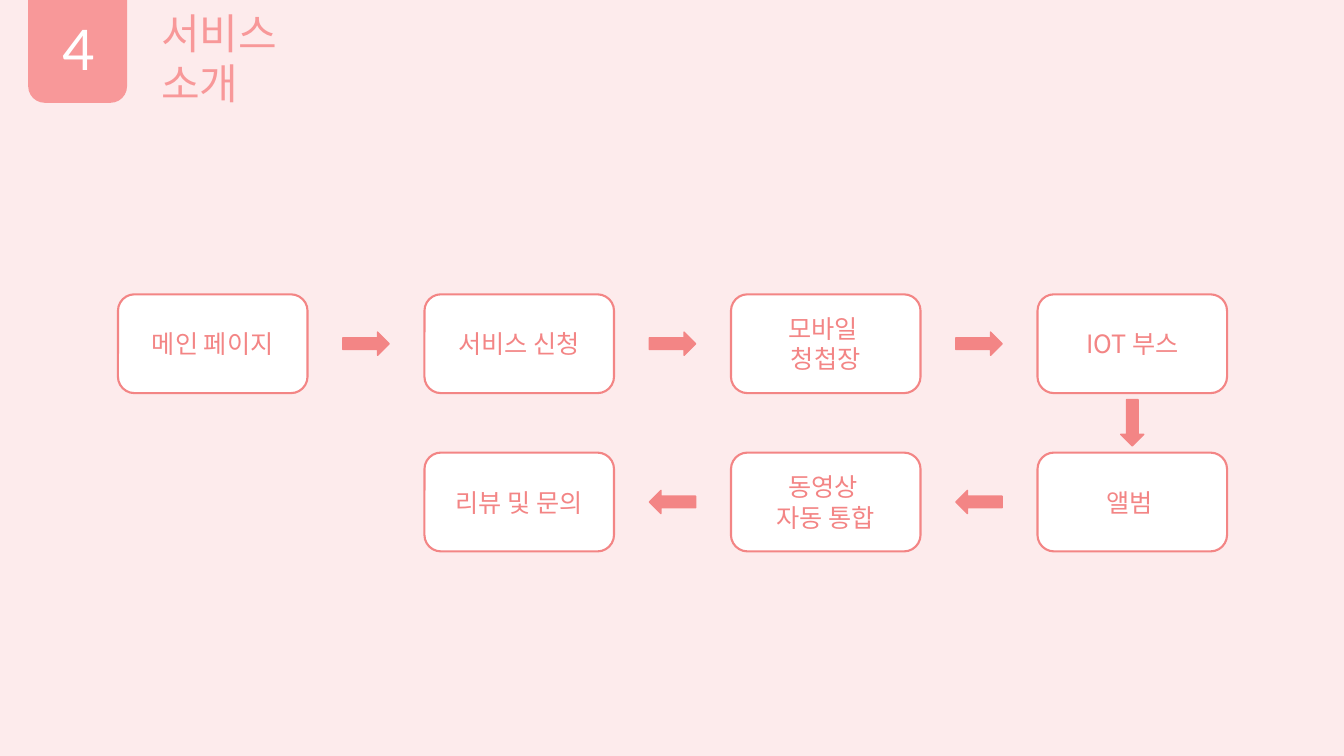
from pptx import Presentation
from pptx.dml.color import RGBColor
from pptx.enum.shapes import MSO_SHAPE
from pptx.enum.text import MSO_ANCHOR, PP_ALIGN
from pptx.util import Inches, Pt

RECTANGLE = MSO_SHAPE.RECTANGLE
ROUNDED = MSO_SHAPE.ROUNDED_RECTANGLE
RIGHT_ARROW = MSO_SHAPE.RIGHT_ARROW
TOP, MIDDLE = MSO_ANCHOR.TOP, MSO_ANCHOR.MIDDLE
LEFT, CENTER = PP_ALIGN.LEFT, PP_ALIGN.CENTER

SLIDE_WIDTH, SLIDE_HEIGHT = 13.33, 7.5
FIRST_COLUMN, FIRST_ROW = 1.17, 2.92
COLUMN_STEP, ROW_STEP = 3.04, 1.57
BOX_WIDTH, BOX_HEIGHT = 1.88, 0.98
ARROW_WIDTH, ARROW_HEIGHT = 0.46, 0.23

KOREAN_FONT = "Noto Sans CJK KR"
BLUSH, PINK, CORAL, WHITE = "FDEBEC", "F89899", "F38585", "FFFFFF"

STEPS = [
    (0, 0, "메인 페이지"),
    (1, 0, "서비스 신청"),
    (2, 0, "모바일 \n청첩장"),
    (3, 0, "IOT 부스"),
    (3, 1, "앨범 "),
    (2, 1, "동영상 \n자동 통합"),
    (1, 1, "리뷰 및 문의"),
]
ROTATIONS = {(1, 0): 0, (-1, 0): 180, (0, 1): 90}


def color(hex_string):
    """Return the colour for a hex string."""
    return RGBColor.from_string(hex_string)


def write_text(shape, text, size, hex_color, font=KOREAN_FONT, align=LEFT,
               anchor=MIDDLE, wrap=True):
    """Fill a shape with text, one paragraph per line."""
    frame = shape.text_frame
    frame.word_wrap = wrap
    frame.vertical_anchor = anchor
    frame.text = text
    for paragraph in frame.paragraphs:
        paragraph.alignment = align
        for run in paragraph.runs:
            run.font.size = Pt(size)
            run.font.name = font
            run.font.color.rgb = color(hex_color)
            properties = run.font.fill._xPr
            east_asian = properties.makeelement(
                "{http://schemas.openxmlformats.org/drawingml/2006/main}ea",
                {"typeface": font})
            properties.append(east_asian)


def add_block(slide, kind, left, top, width, height, fill, line=None, weight=1):
    """Add a flat preset shape with an optional outline."""
    shape = slide.shapes.add_shape(
        kind, Inches(left), Inches(top), Inches(width), Inches(height))
    shape.shadow.inherit = False
    shape.fill.solid()
    shape.fill.fore_color.rgb = color(fill)
    if line:
        shape.line.color.rgb = color(line)
        shape.line.width = Pt(weight)
    else:
        shape.line.fill.background()
    return shape


def add_label(slide, text, left, top, width, height, **text_format):
    """Add a text box with formatted text."""
    box = slide.shapes.add_textbox(
        Inches(left), Inches(top), Inches(width), Inches(height))
    write_text(box, text, **text_format)


def box_center(column, row):
    """Return the centre of a step box on the grid."""
    return (FIRST_COLUMN + column * COLUMN_STEP + BOX_WIDTH / 2,
            FIRST_ROW + row * ROW_STEP + BOX_HEIGHT / 2)


def add_step(slide, column, row, text):
    """Add a step box at a grid position."""
    x, y = box_center(column, row)
    box = add_block(slide, ROUNDED, x - BOX_WIDTH / 2, y - BOX_HEIGHT / 2,
                    BOX_WIDTH, BOX_HEIGHT, WHITE, CORAL, 1.5)
    write_text(box, text, size=18, hex_color=CORAL, align=CENTER)


def add_arrow(slide, start, end):
    """Add a block arrow halfway between two neighbouring steps."""
    x, y = box_center((start[0] + end[0]) / 2, (start[1] + end[1]) / 2)
    arrow = add_block(slide, RIGHT_ARROW, x - ARROW_WIDTH / 2,
                      y - ARROW_HEIGHT / 2, ARROW_WIDTH, ARROW_HEIGHT,
                      CORAL, CORAL)
    arrow.rotation = ROTATIONS[end[0] - start[0], end[1] - start[1]]


def add_header(slide):
    """Add the section badge, its number and the title."""
    add_block(slide, ROUNDED, 0.28, -0.55, 0.98, 1.57, PINK)
    add_label(slide, "4", 0.52, 0.1, 0.51, 0.77, size=40, hex_color=WHITE,
              font="Lato", anchor=TOP, wrap=False)
    add_label(slide, "서비스 소개", 1.5, 0.27, 2.08, 0.61, size=30,
              hex_color=PINK)


def main():
    """Build the service flow slide."""
    presentation = Presentation()
    presentation.slide_width = Inches(SLIDE_WIDTH)
    presentation.slide_height = Inches(SLIDE_HEIGHT)
    slide = presentation.slides.add_slide(presentation.slide_layouts[6])
    add_block(slide, RECTANGLE, 0, 0, SLIDE_WIDTH, SLIDE_HEIGHT, BLUSH)
    add_header(slide)
    for column, row, text in STEPS:
        add_step(slide, column, row, text)
    for start, end in zip(STEPS, STEPS[1:]):
        add_arrow(slide, start, end)
    presentation.save("out.pptx")


if __name__ == "__main__":
    main()
